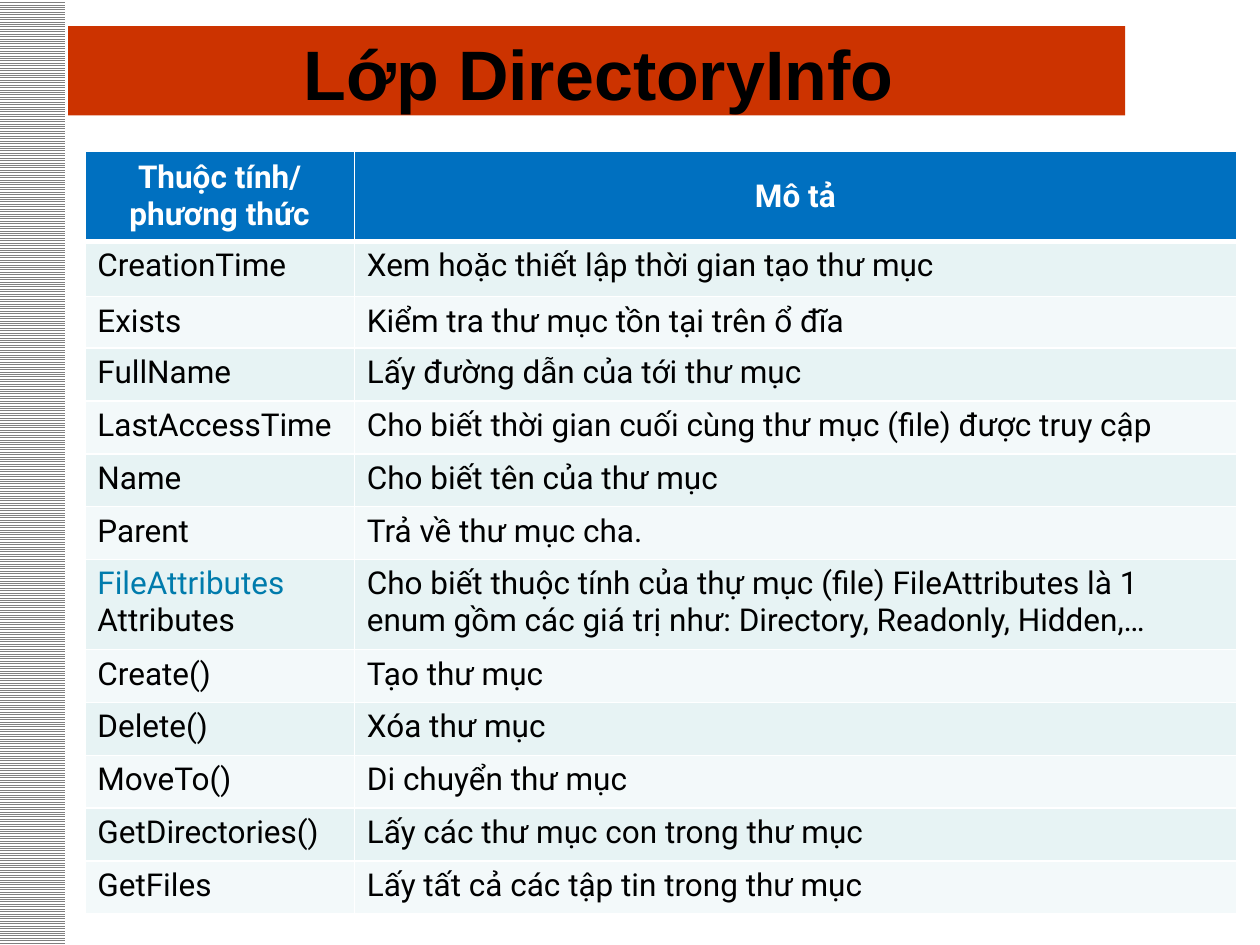
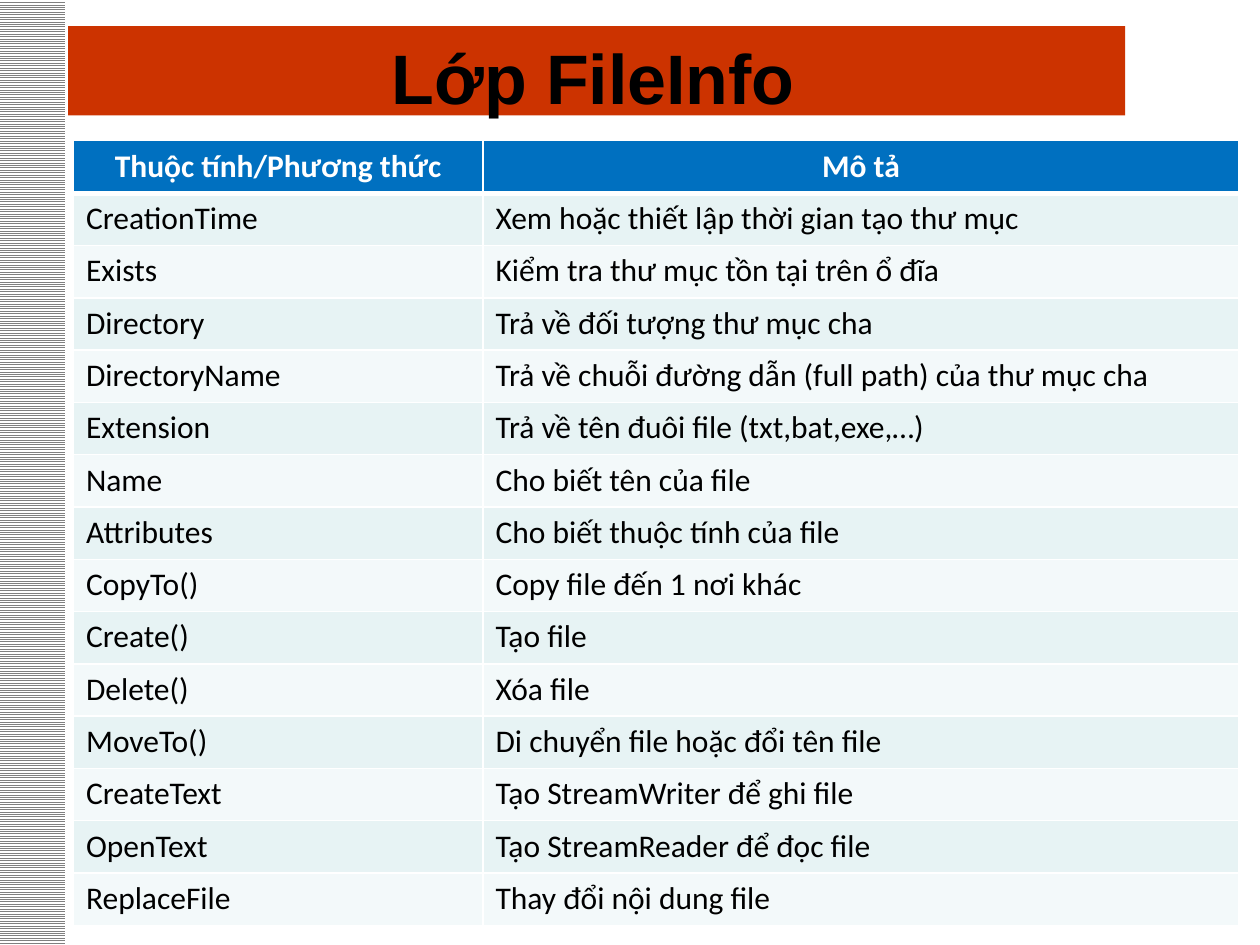
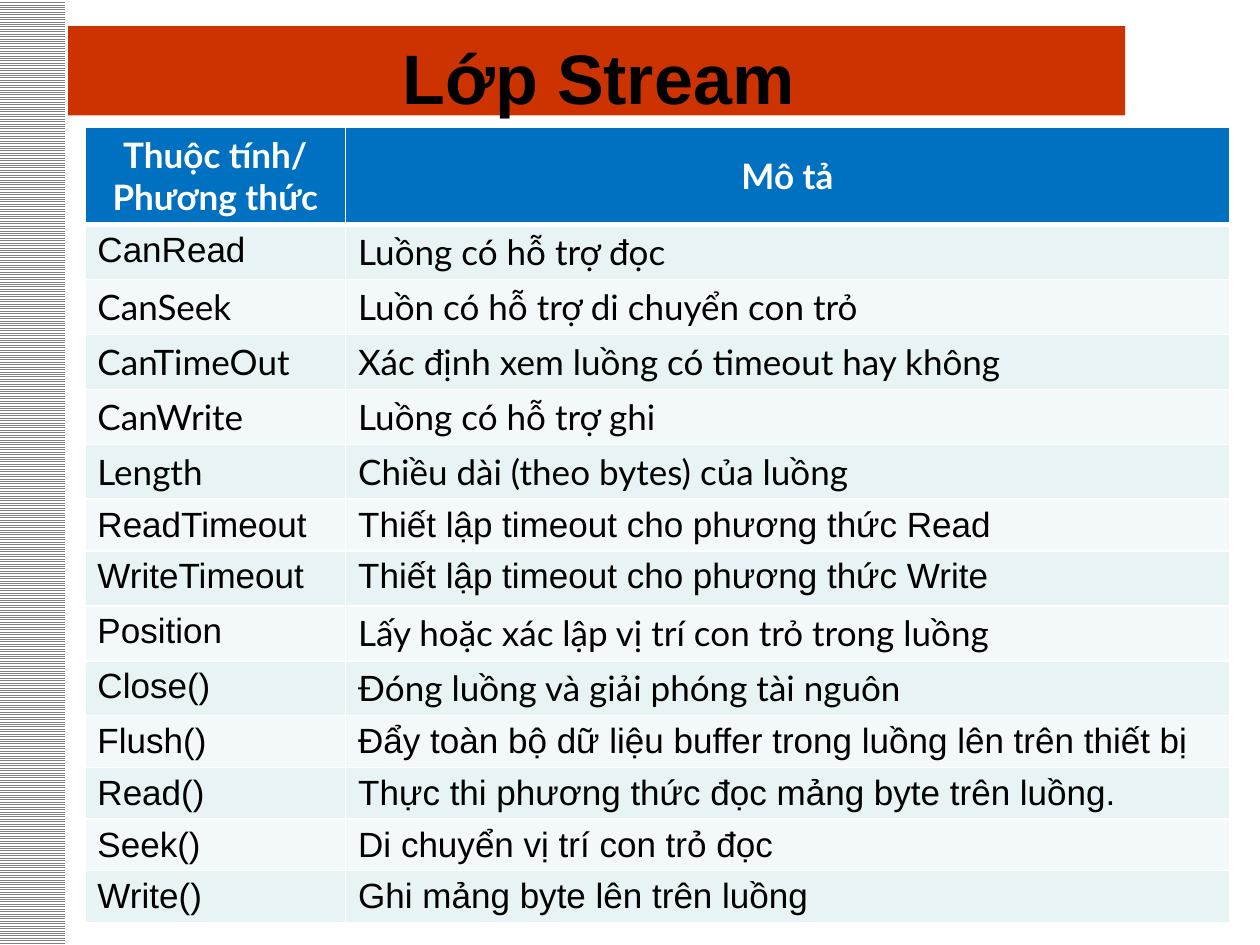
from lxml import etree
from pptx import Presentation
from pptx.dml.color import RGBColor
from pptx.enum.dml import MSO_PATTERN
from pptx.enum.shapes import MSO_SHAPE
from pptx.enum.text import MSO_ANCHOR, PP_ALIGN
from pptx.oxml.ns import qn
from pptx.util import Pt

RECT = MSO_SHAPE.RECTANGLE
LINES = MSO_PATTERN.LIGHT_HORIZONTAL
TOP, MIDDLE = MSO_ANCHOR.TOP, MSO_ANCHOR.MIDDLE
LEFT, CENTER = PP_ALIGN.LEFT, PP_ALIGN.CENTER

BLACK = RGBColor(0x00, 0x00, 0x00)
WHITE = RGBColor(0xFF, 0xFF, 0xFF)
GRAY = RGBColor(0x80, 0x80, 0x80)
RED = RGBColor(0xCC, 0x33, 0x00)
BLUE = RGBColor(0x00, 0x70, 0xC0)
TEAL = RGBColor(0x00, 0x7B, 0xAC)
STRIPES = (RGBColor(0xE7, 0xF3, 0xF4), RGBColor(0xF3, 0xF9, 0xFA))

ARIAL, CALIBRI, LATO, ROBOTO = "Arial", "Calibri", "Lato", "Roboto"

# Rows: member, description
DIRECTORY_INFO = [
    ("Thuộc tính/ phương thức", "Mô tả"),
    ("CreationTime", "Xem hoặc thiết lập thời gian tạo thư mục"),
    ("Exists", "Kiểm tra thư mục tồn tại trên ổ đĩa"),
    ("FullName", "Lấy đường dẫn của tới thư mục"),
    ("LastAccessTime", "Cho biết thời gian cuối cùng thư mục (file) được truy cập"),
    ("Name", "Cho biết tên của thư mục"),
    ("Parent", "Trả về thư mục cha."),
    ("FileAttributes Attributes",
     "Cho biết thuộc tính của thự mục (file) FileAttributes là 1 enum gồm "
     "các giá trị như: Directory, Readonly, Hidden,…"),
    ("Create()", "Tạo thư mục"),
    ("Delete()", "Xóa thư mục"),
    ("MoveTo()", "Di chuyển thư mục"),
    ("GetDirectories()", "Lấy các thư mục con trong thư mục"),
    ("GetFiles", "Lấy tất cả các tập tin trong thư mục"),
]
FILE_INFO = [
    ("Thuộc tính/Phương thức", "Mô tả"),
    ("CreationTime", "Xem hoặc thiết lập thời gian tạo thư mục"),
    ("Exists", "Kiểm tra thư mục tồn tại trên ổ đĩa"),
    ("Directory", "Trả về đối tượng thư mục cha"),
    ("DirectoryName", "Trả về chuỗi đường dẫn (full path) của thư mục cha"),
    ("Extension", "Trả về tên đuôi file (txt,bat,exe,…)"),
    ("Name", "Cho biết tên của file"),
    ("Attributes", "Cho biết thuộc tính của file"),
    ("CopyTo()", "Copy file đến 1 nơi khác"),
    ("Create()", "Tạo file"),
    ("Delete()", "Xóa file"),
    ("MoveTo()", "Di chuyển file hoặc đổi tên file"),
    ("CreateText", "Tạo StreamWriter để ghi file"),
    ("OpenText", "Tạo StreamReader để đọc file"),
    ("ReplaceFile", "Thay đổi nội dung file"),
]
STREAM = [
    ("Thuộc tính/ Phương thức", "Mô tả"),
    ("CanRead", "Luồng có hỗ trợ đọc"),
    ("CanSeek", "Luồn có hỗ trợ di chuyển con trỏ"),
    ("CanTimeOut", "Xác định xem luồng có timeout hay không"),
    ("CanWrite", "Luồng có hỗ trợ ghi"),
    ("Length", "Chiều dài (theo bytes) của luồng"),
    ("ReadTimeout", "Thiết lập timeout cho phương thức Read"),
    ("WriteTimeout", "Thiết lập timeout cho phương thức Write"),
    ("Position", "Lấy hoặc xác lập vị trí con trỏ trong luồng"),
    ("Close()", "Đóng luồng và giải phóng tài nguôn"),
    ("Flush()", "Đẩy toàn bộ dữ liệu buffer trong luồng lên trên thiết bị"),
    ("Read()", "Thực thi phương thức đọc mảng byte trên luồng."),
    ("Seek()", "Di chuyển vị trí con trỏ đọc"),
    ("Write()", "Ghi mảng byte lên trên luồng"),
]
# Rows of the Stream table set in Arial, by column
STREAM_ARIAL = ({1, *range(6, 14)}, {6, 7, *range(10, 14)})


def decorate_layout(layout, s):
    """Put the title band and the side strip behind everything on the layout."""
    band = s.shapes.add_shape(RECT, Pt(39), Pt(15), Pt(604), Pt(51))
    band.fill.solid()
    band.fill.fore_color.rgb = RED
    strip = s.shapes.add_shape(RECT, Pt(-1), 0, Pt(38), Pt(540))
    strip.fill.patterned()
    strip.fill.pattern = LINES
    strip.fill.fore_color.rgb = GRAY
    strip.fill.back_color.rgb = WHITE
    for i, sp in enumerate((band, strip)):
        sp.shadow.inherit = False
        sp.line.fill.background()
        sp.element.nvSpPr.cNvPr.id = 20 + i
        layout.shapes.element.insert(2 + i, sp.element)


def style_paragraph(p, font, size, color, bold, align):
    p.alignment = align
    p.font.name = font
    p.font.size = Pt(size)
    p.font.bold = bold
    p.font.color.rgb = color


def set_title(s, text, left, top, width, height):
    sp = s.shapes.title
    sp.left, sp.top, sp.width, sp.height = Pt(left), Pt(top), Pt(width), Pt(height)
    tf = sp.text_frame
    tf.text = text
    tf.word_wrap = True
    tf.vertical_anchor = TOP
    tf.margin_top = Pt(8)
    tf.margin_bottom = 0
    style_paragraph(tf.paragraphs[0], ARIAL, 40, BLACK, True, CENTER)


def set_borders(cell, widths):
    """Draw white borders; widths maps a side to points, in L, R, T, B order."""
    tc_pr = cell._tc.get_or_add_tcPr()
    for side, width in widths.items():
        ln = etree.SubElement(tc_pr, qn(f"a:ln{side}"), w=str(Pt(width)))
        fill = etree.SubElement(ln, qn("a:solidFill"))
        etree.SubElement(fill, qn("a:srgbClr"), val=str(WHITE))


def fill_cell(cell, text, font, size, header, stripe, spacing):
    if header:
        set_borders(cell, {"L": 1, "R": 1, "T": 1, "B": 3})
    else:
        set_borders(cell, {"L": 1, "R": 1, "B": 1})
    cell.fill.solid()
    cell.fill.fore_color.rgb = BLUE if header else stripe
    cell.vertical_anchor = MIDDLE if header else TOP
    p = cell.text_frame.paragraphs[0]
    if spacing:
        p.space_before = p.space_after = Pt(spacing)
    style_paragraph(p, font, size, WHITE if header else BLACK, header,
                    CENTER if header else LEFT)
    p.add_run().text = text


def add_member_table(s, rows, left, top, widths, heights, font, size,
                     spacing=0, arial_rows=(set(), set())):
    frame = s.shapes.add_table(len(rows), 2, Pt(left), Pt(top),
                               Pt(sum(widths)), Pt(sum(heights)))
    table = frame.table
    for column, width in zip(table.columns, widths):
        column.width = Pt(width)
    for i, row in enumerate(rows):
        table.rows[i].height = Pt(heights[i])
        for j, text in enumerate(row):
            face = ARIAL if i in arial_rows[j] else font
            fill_cell(table.cell(i, j), text, face, size, i == 0,
                      STRIPES[(i - 1) % 2], spacing)
    return table


def main():
    prs = Presentation()
    prs.slide_width, prs.slide_height = Pt(720), Pt(540)
    layout = prs.slide_layouts[5]

    # DirectoryInfo
    s = prs.slides.add_slide(layout)
    decorate_layout(layout, s)
    set_title(s, "Lớp DirectoryInfo", 42, 9.5, 600, 68)
    heights = [51.5, 31.5, 29.5] + [30.2] * 4 + [51.5] + [30.2] * 5
    table = add_member_table(s, DIRECTORY_INFO, 48.5, 86.5, (154, 504),
                             heights, ROBOTO, 18, spacing=1)
    # The type of the Attributes property stands out in teal
    p = table.cell(7, 0).text_frame.paragraphs[0]
    type_name, member = p.text.split()
    p.runs[0].text = type_name
    p.runs[0].font.color.rgb = TEAL
    p.add_run().text = " " + member

    # FileInfo
    s = prs.slides.add_slide(layout)
    set_title(s, "Lớp FileInfo", 36, 12, 606, 54)
    add_member_table(s, FILE_INFO, 42, 80, (234, 432),
                     [30.5] + [29.9] * 14, CALIBRI, 18)

    # Stream
    s = prs.slides.add_slide(layout)
    set_title(s, "Lớp Stream", 42, 12, 600, 54)
    heights = [48] + [28] * 6 + [31.5] + [28] * 6
    add_member_table(s, STREAM, 48.5, 73, (149, 505), heights, LATO, 20,
                     arial_rows=STREAM_ARIAL)

    prs.save("out.pptx")


if __name__ == "__main__":
    main()
